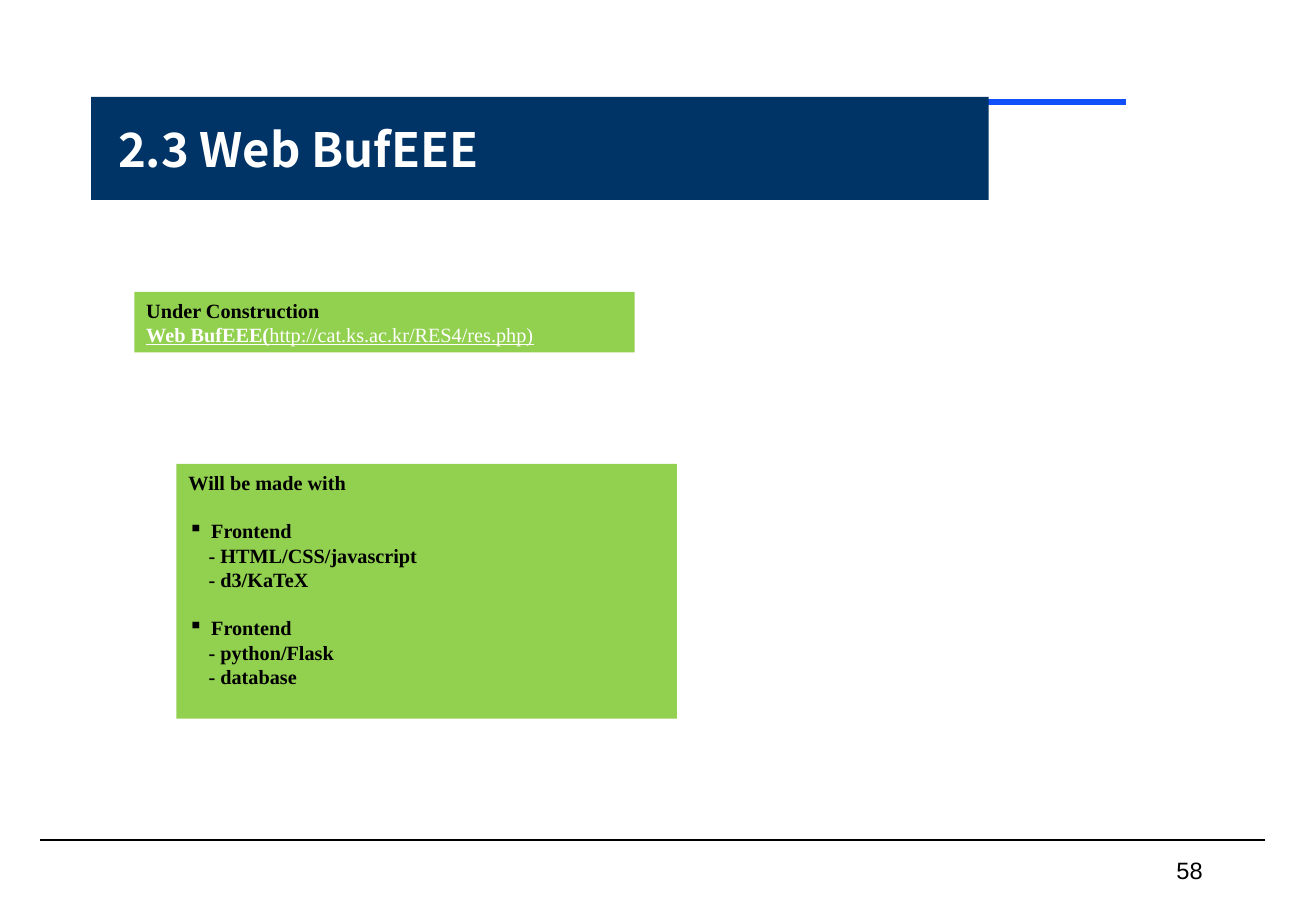
from lxml.etree import SubElement
from pptx import Presentation
from pptx.dml.color import RGBColor as Rgb
from pptx.enum.shapes import MSO_CONNECTOR as Connector, MSO_SHAPE as Shape
from pptx.enum.text import MSO_ANCHOR as Anchor, PP_ALIGN as Align
from pptx.oxml.ns import qn
from pptx.util import Pt

COLORS = {"navy": "003366", "blue": "114FFB", "green": "92D050", "black": "000000", "white": "FFFFFF"}
BODY_FONT = "Times New Roman"
LINE_PITCH = 14.4
BULLET_INDENT = 13.5
DASH_INDENT = 12
STACK = [
    ("Frontend", ["HTML/CSS/javascript", "d3/KaTeX"]),
    ("Frontend", ["python/Flask", "database"]),
]


def color(name):
    return Rgb.from_string(COLORS[name])


def style(font, name, size, ink, bold=None):
    font.name = name
    font.size = Pt(size)
    font.color.rgb = color(ink)
    font.bold = bold


def add_rule(slide, x1, x2, y, ink, width):
    rule = slide.shapes.add_connector(Connector.STRAIGHT, Pt(x1), Pt(y), Pt(x2), Pt(y))
    rule.line.color.rgb = color(ink)
    rule.line.width = Pt(width)
    SubElement(rule._element.spPr, qn("a:effectLst"))


def add_panel(slide, box, fill, anchor):
    panel = slide.shapes.add_shape(Shape.RECTANGLE, *map(Pt, box))
    panel.shadow.inherit = False
    panel.fill.solid()
    panel.fill.fore_color.rgb = color(fill)
    panel.line.fill.background()
    frame = panel.text_frame
    frame.word_wrap = True
    frame.vertical_anchor = anchor
    return frame


def add_line(frame, text="", ink="black", bold=True, indent=0, bullet=None, gap=0):
    first = frame.paragraphs[0]
    line = frame.add_paragraph() if first.runs else first
    if text:
        line.add_run().text = text
    props = line._p.get_or_add_pPr()
    if indent:
        props.set("marL", str(Pt(indent)))
    if bullet:
        props.set("indent", str(-Pt(indent)))
        SubElement(props, qn("a:buChar")).set("char", bullet)
    line.alignment = Align.LEFT
    line.line_spacing = Pt(LINE_PITCH)
    if gap:
        line.space_before = Pt(gap)
    style(line.font, BODY_FONT, 12, ink, bold)
    return line


def add_header(slide, left, top, width, height):
    add_rule(slide, left + 1.5, left + 613.5, top + 3, "blue", 3.75)
    frame = add_panel(slide, (left, top, width, height), "navy", Anchor.MIDDLE)
    frame.margin_left = Pt(16)
    title = frame.paragraphs[0]
    title.text = "2.3 Web BufEEE"
    title.alignment = Align.LEFT
    style(title.font, "Noto Sans CJK KR", 28, "white", True)


def add_status(slide, *box):
    frame = add_panel(slide, box, "green", Anchor.TOP)
    add_line(frame, "Under Construction")
    address = add_line(frame, ink="white", bold=None)
    address.font.underline = True
    for text, bold in (("Web BufEEE(", True), ("http://cat.ks.ac.kr/RES4/res.php)", False)):
        part = address.add_run()
        part.text = text
        part.font.bold = bold


def add_stack(slide, *box):
    frame = add_panel(slide, box, "green", Anchor.TOP)
    add_line(frame, "Will be made with")
    for layer, tools in STACK:
        add_line(frame, layer, indent=BULLET_INDENT, bullet="▪", gap=LINE_PITCH)
        for tool in tools:
            add_line(frame, f"- {tool}", indent=DASH_INDENT)


def add_footer(slide, left, top, width):
    add_rule(slide, left + width, left, top, "black", 1)
    frame = slide.shapes.add_textbox(Pt(left + 534), Pt(top + 6), Pt(162), Pt(24)).text_frame
    frame.word_wrap = True
    frame.vertical_anchor = Anchor.MIDDLE
    number = frame.paragraphs[0]
    number.text = "58"
    number.alignment = Align.RIGHT
    style(number.font, "Arial", 14, "black")


def main():
    deck = Presentation()
    deck.slide_width, deck.slide_height = Pt(780), Pt(540)
    slide = deck.slides.add_slide(deck.slide_layouts[6])
    add_footer(slide, 24, 498, 726)
    add_header(slide, 54, 57.5, 532, 61)
    add_status(slide, 79.6, 173, 296.6, 36)
    add_stack(slide, 104.6, 275, 296.6, 151)
    deck.save("out.pptx")


if __name__ == "__main__":
    main()
